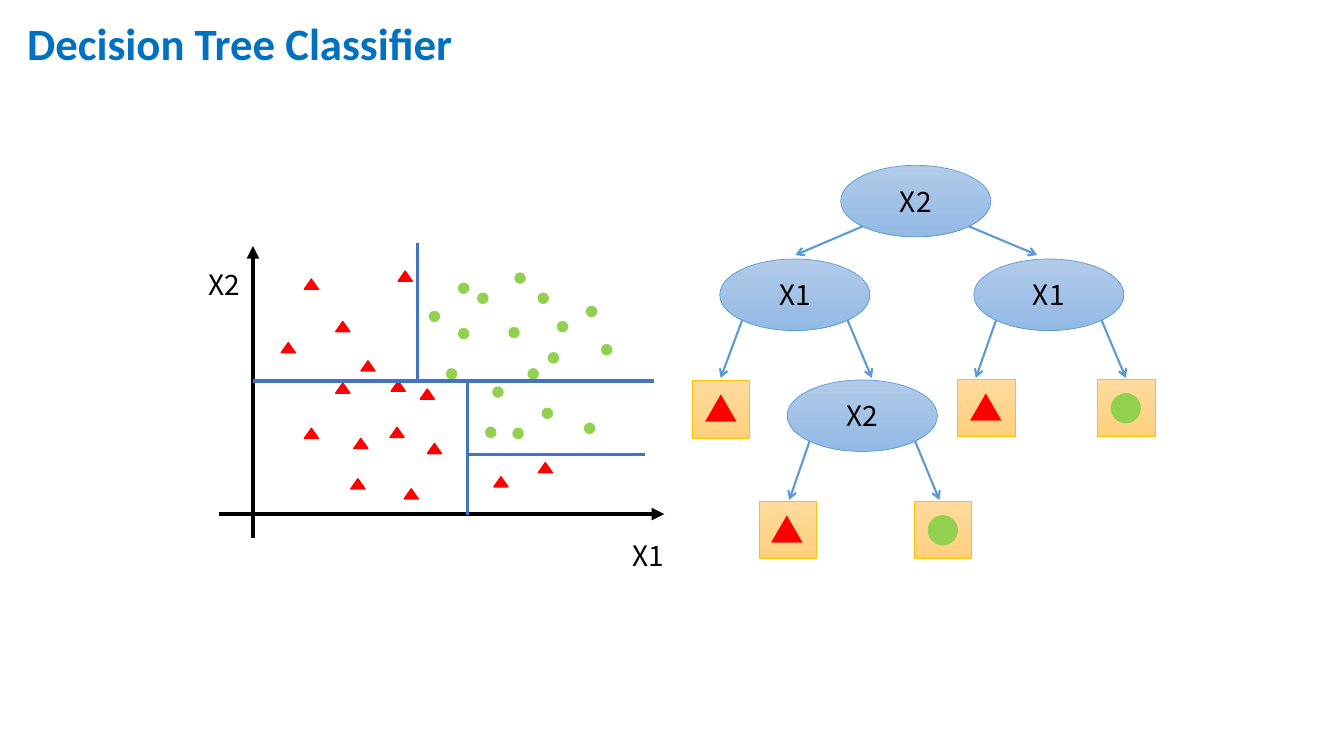
from dataclasses import dataclass
from lxml.etree import SubElement
from pptx import Presentation
from pptx.dml.color import RGBColor
from pptx.enum.shapes import MSO_CONNECTOR, MSO_SHAPE
from pptx.enum.text import MSO_ANCHOR, MSO_AUTO_SIZE, PP_ALIGN
from pptx.oxml.ns import qn
from pptx.util import Pt


@dataclass
class Theme:
    ink: str = "000000"
    title: str = "0070C0"
    red: str = "FF0000"
    green: str = "92D050"
    split: str = "4472C4"
    branch: str = "5B9BD5"
    node: tuple = ("B1CBE9", "93B9E4")
    leaf: tuple = ("FFDB9E", "FFD07C")
    rim: str = "FFC000"
    head: int = 32
    label: int = 20
    mark: int = 24
    sans: str = "Calibri"
    cjk: str = "Noto Sans CJK SC"


theme = Theme()


def write(shape, text, size, color, font, align=PP_ALIGN.CENTER):
    frame = shape.text_frame
    frame.text = text
    frame.word_wrap = True
    para = frame.paragraphs[0]
    para.alignment = align
    run = para.runs[0]
    run.font.size = Pt(size)
    run.font.name = font
    run.font.color.rgb = RGBColor.from_string(color)
    SubElement(run.font._element, qn("a:ea"), typeface=font)
    return frame


def draw(x1, y1, x2, y2, color, width, tip=None):
    line = slide.shapes.add_connector(
        MSO_CONNECTOR.STRAIGHT, Pt(x1), Pt(y1), Pt(x2), Pt(y2))
    line.line.color.rgb = RGBColor.from_string(color)
    line.line.width = Pt(width)
    if tip:
        SubElement(line.line._get_or_add_ln(), qn("a:tailEnd"), type=tip)
    SubElement(line._element.spPr, qn("a:effectLst"))


deck = Presentation()
deck.slide_width, deck.slide_height = Pt(960), Pt(540)
slide = deck.slides.add_slide(deck.slide_layouts[5])

title = slide.shapes.title
title.left, title.top, title.width, title.height = Pt(12.2), Pt(10.1), Pt(828), Pt(45.4)
frame = write(title, "Decision Tree Classifier", theme.head, theme.title,
              theme.sans, PP_ALIGN.LEFT)
frame.auto_size = MSO_AUTO_SIZE.NONE
frame.vertical_anchor = MSO_ANCHOR.MIDDLE
frame.paragraphs[0].line_spacing = 0.9
frame.paragraphs[0].runs[0].font.bold = True

draw(156.2, 367.2, 474.5, 367.2, theme.ink, 3, "triangle")
draw(180.7, 384.5, 180.7, 175.7, theme.ink, 3, "triangle")

reds = [
    (217.4, 306), (200.9, 244.8), (305.3, 316.8), (284.4, 193.7),
    (217.4, 199.4), (384.5, 330.5), (257.8, 257.8), (252.7, 313.2),
    (239.8, 229.7), (279.4, 272.2), (352.8, 340.6), (239.8, 273.6),
    (278.6, 305.3), (300.2, 277.9), (250.6, 342), (288.7, 349.2),
]
greens = [
    (327.6, 234.7), (327.6, 202.3), (398.2, 229.7), (429.8, 246.2),
    (377.3, 263.5), (366.5, 306), (387.4, 291.6), (417.6, 302.4),
    (367.9, 195.1), (306.7, 222.5), (319, 263.5), (341.3, 209.5),
    (419, 218.9), (363.6, 234), (391.7, 252), (352.1, 276.5),
    (347, 305.3), (384.5, 209.5),
]
for spots, kind, width, color in (
    (reds, MSO_SHAPE.ISOSCELES_TRIANGLE, 10.1, theme.red),
    (greens, MSO_SHAPE.OVAL, 7.2, theme.green),
):
    for x, y in spots:
        dot = slide.shapes.add_shape(kind, Pt(x), Pt(y), Pt(width), Pt(7.2))
        dot.shadow.inherit = False
        dot.fill.solid()
        dot.fill.fore_color.rgb = RGBColor.from_string(color)
        dot.line.color.rgb = RGBColor.from_string(color)
        dot.line.width = Pt(1)

for text, x, y, width in (("X1", 429.8, 380.9, 66.2), ("X2", 140.4, 187.2, 39.6)):
    box = slide.shapes.add_textbox(Pt(x), Pt(y), Pt(width), Pt(31.7))
    write(box, text, theme.label, theme.ink, theme.cjk)

for ends in (
    (298.1, 173.5, 298.1, 272.2),
    (180.7, 272.2, 467.3, 272.2),
    (334.1, 272.2, 334.1, 367.9),
    (334.1, 324.7, 460.8, 324.7),
):
    draw(*ends, theme.split, 2.25)

wide, high, side = 107.3, 51.1, 41
nodes = [
    ("X2", 600.5, 118.1, (568.1, 740.9), 182.2),
    ("X1", 514.1, 185, (514.8, 622.8), 270),
    ("X1", 695.5, 185, (697, 804.2), 270),
    ("X2", 562.3, 271.4, (563.8, 671), 357.1),
]
leaves = [
    ("▲", 684, 270.7), ("▲", 494.6, 272), ("▲", 542.2, 357.8),
    ("●", 784.1, 270.7), ("●", 653, 357.8),
]
tints = {"▲": theme.red, "●": theme.green}
blocks = [(MSO_SHAPE.OVAL, text, x, y, wide, high, theme.node, theme.branch,
           theme.label, theme.ink) for text, x, y, *_ in nodes]
blocks += [(MSO_SHAPE.RECTANGLE, text, x, y, side, side, theme.leaf, theme.rim,
            theme.mark, tints[text]) for text, x, y in leaves]

for kind, text, x, y, width, height, shades, rim, size, color in blocks:
    block = slide.shapes.add_shape(kind, Pt(x), Pt(y), Pt(width), Pt(height))
    block.shadow.inherit = False
    block.fill.gradient()
    block.fill.gradient_angle = 270
    for stop, shade in zip(block.fill.gradient_stops, shades):
        stop.color.rgb = RGBColor.from_string(shade)
    block.line.color.rgb = RGBColor.from_string(rim)
    block.line.width = Pt(0.5)
    frame = write(block, text, size, color, theme.cjk)
    frame.vertical_anchor = MSO_ANCHOR.MIDDLE

for text, x, y, ends, foot in nodes:
    for share, end in zip((0.15, 0.85), ends):
        draw(x + share * wide, y + 0.85 * high, end, foot, theme.branch, 1.5, "arrow")

deck.save("out.pptx")
